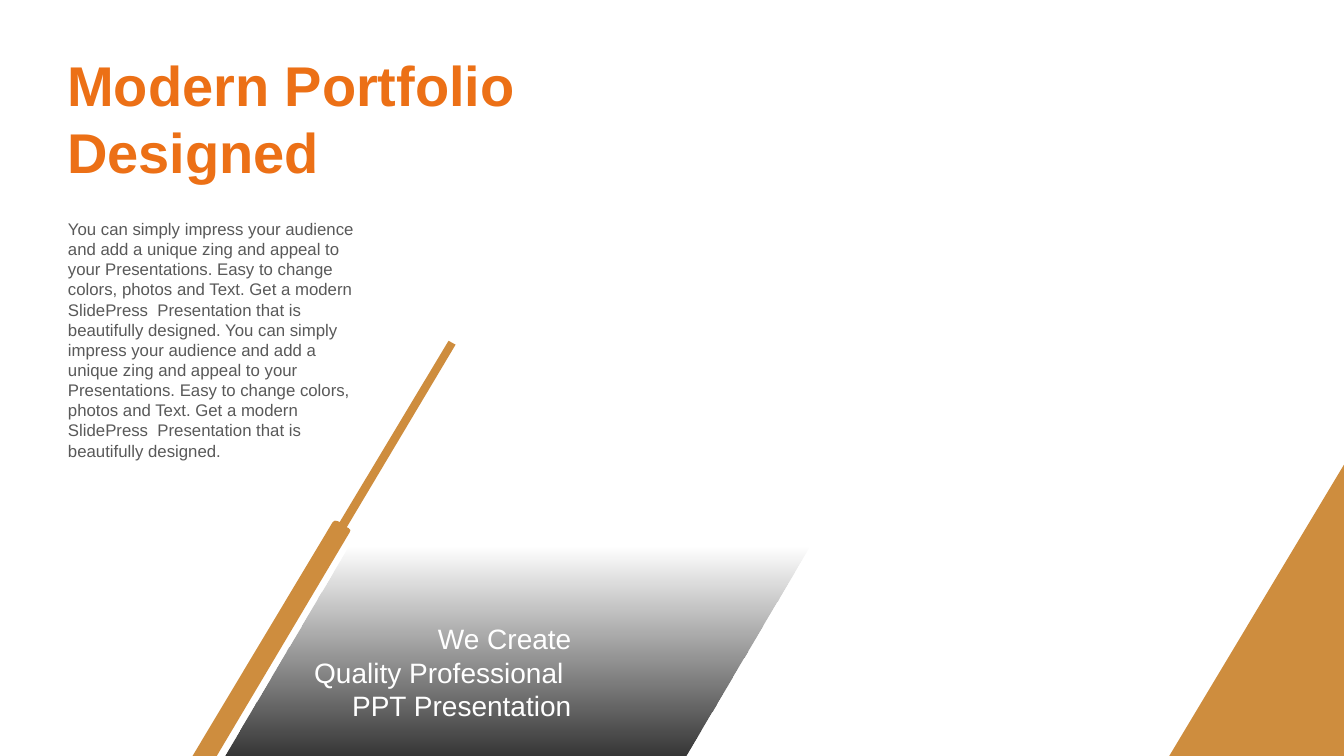
from lxml.etree import SubElement
from pptx import Presentation
from pptx.dml.color import RGBColor
from pptx.enum.shapes import MSO_SHAPE as Preset
from pptx.enum.text import MSO_ANCHOR as Anchor, MSO_AUTO_SIZE as AutoSize, PP_ALIGN as Align
from pptx.oxml.ns import qn
from pptx.util import Pt

BRONZE = RGBColor(0xCE, 0x8D, 0x3E)
ORANGE = RGBColor(0xEC, 0x70, 0x16)
GREY = RGBColor(0x59, 0x59, 0x59)
BLACK = RGBColor(0, 0, 0)
WHITE = RGBColor(0xFF, 0xFF, 0xFF)

deck = Presentation()
deck.slide_width, deck.slide_height = Pt(960), Pt(540)
slide = deck.slides.add_slide(deck.slide_layouts[6])
shapes = slide.shapes


def add_text(text, left, top, width, height, size, color,
             bold=False, align=Align.LEFT, anchor=Anchor.TOP, inset=(7.2, 3.6)):
    box = shapes.add_textbox(Pt(left), Pt(top), Pt(width), Pt(height))
    frame = box.text_frame
    frame.text = text
    frame.word_wrap = True
    frame.auto_size = AutoSize.SHAPE_TO_FIT_TEXT
    frame.vertical_anchor = anchor
    frame.margin_left = frame.margin_right = Pt(inset[0])
    frame.margin_top = frame.margin_bottom = Pt(inset[1])
    for paragraph in frame.paragraphs:
        paragraph.alignment = align
        for run in paragraph.runs:
            run.font.name = "Arial"
            run.font.size = Pt(size)
            run.font.bold = bold
            run.font.color.rgb = color


corner = shapes.add_shape(Preset.RIGHT_TRIANGLE, Pt(835.2), Pt(331.9), Pt(124.8), Pt(208.1))
corner._element.spPr.find(qn("a:xfrm")).set("flipH", "1")

fade = shapes.add_shape(Preset.PARALLELOGRAM, Pt(160.6), Pt(390.2), Pt(417.6), Pt(149.8))
fade.adjustments[0] = 0.593
fade.fill.gradient()
fade.fill.gradient_angle = 270
for stop in fade.fill.gradient_stops:
    stop.color.rgb = BLACK
for shade, opacity in zip(fade._element.spPr.iter(qn("a:srgbClr")), (0, 80)):
    SubElement(shade, qn("a:alpha")).set("val", str(opacity * 1000))

add_text("Modern Portfolio Designed", 41, 32.4, 346.3, 104.4, 40, ORANGE, bold=True)

pen_outline = [
    (320.4, 243.4), (325.4, 246.2), (247.7, 376.6), (249.1, 377.3),
    (250.3, 378.7), (249.8, 380.2), (154.8, 540), (137.5, 540),
    (237.6, 373), (239.1, 371.9), (241.2, 372.2), (242.6, 373),
]
pen_points = [(Pt(x), Pt(y)) for x, y in pen_outline]
pen_path = shapes.build_freeform(*pen_points[0], scale=1.0)
pen_path.add_line_segments(pen_points[1:], close=True)
pen = pen_path.convert_to_shape()

for bronze_part in (corner, pen):
    bronze_part.fill.solid()
    bronze_part.fill.fore_color.rgb = BRONZE
for part in (corner, fade, pen):
    part.line.fill.background()
    part.shadow.inherit = False

add_text("We Create\nQuality Professional \nPPT Presentation", 213.8, 443.5, 197.3, 72.7,
         20, WHITE, align=Align.RIGHT, anchor=Anchor.MIDDLE, inset=(2.9, 0))

pitch = ("You can simply impress your audience and add a unique zing and appeal to your "
         "Presentations. Easy to change colors, photos and Text. Get a modern "
         "SlidePress  Presentation that is beautifully designed.")
add_text(f"{pitch} {pitch}", 41.5, 152.6, 221, 181.4, 12, GREY)

deck.save("out.pptx")
